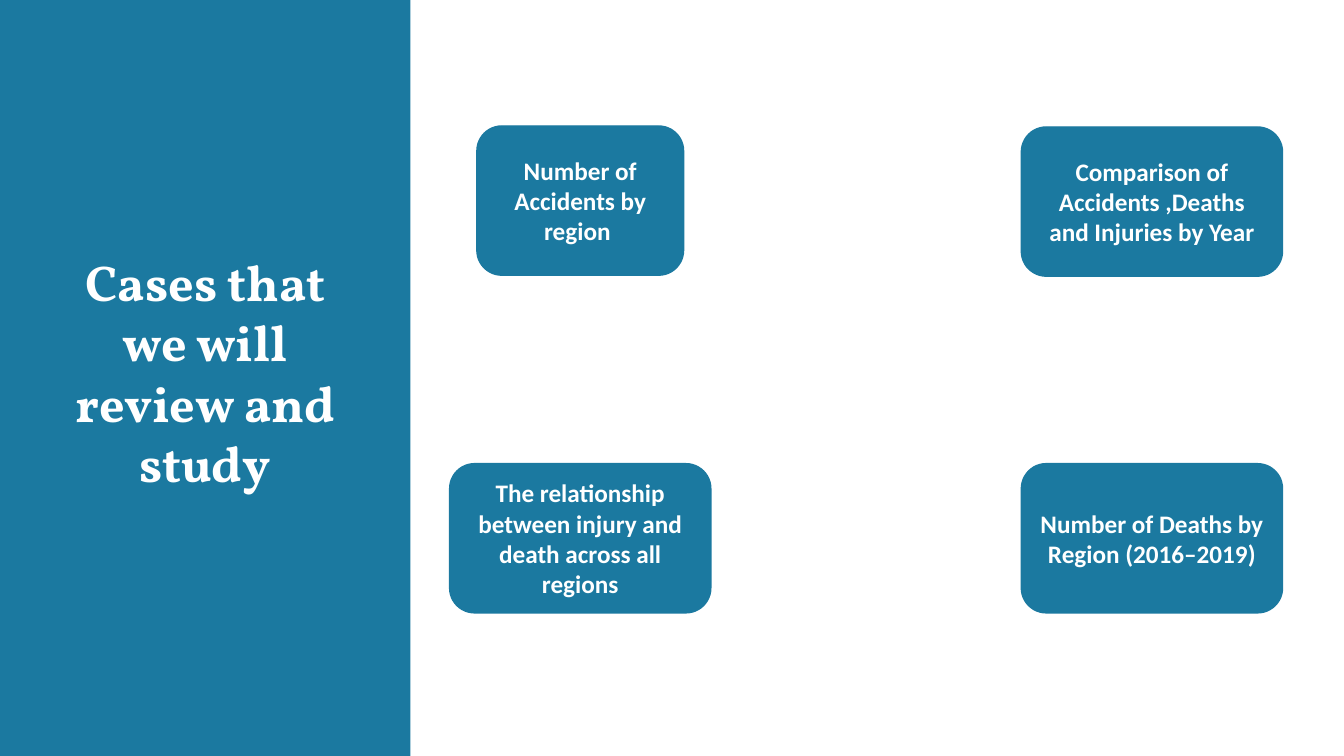
from pptx import Presentation
from pptx.dml.color import RGBColor
from pptx.enum import shapes, text
from pptx.util import Inches, Pt

TEAL = "1B79A0"
WHITE = "FFFFFF"
CARD_HEIGHT = 1.48

# Left, top, width and wording of each case
CASES = [
    (4.73, 1.25, 2.05, "Number of Accidents by region "),
    (10.13, 1.26, 2.59, "Comparison of Accidents ,Deaths and Injuries by Year"),
    (4.46, 4.6, 2.59, "The relationship between injury and death across all regions"),
    (10.13, 4.6, 2.59, "Number of Deaths by Region (2016–2019)"),
]


def color(hex_string):
    return RGBColor.from_string(hex_string)


def write_text(shape, wording, font_name, size, anchor):
    frame = shape.text_frame
    frame.text = wording
    frame.word_wrap = True
    frame.vertical_anchor = anchor
    paragraph = frame.paragraphs[0]
    paragraph.alignment = text.PP_ALIGN.CENTER
    font = paragraph.runs[0].font
    font.name = font_name
    font.size = Pt(size)
    font.bold = True
    font.color.rgb = color(WHITE)


def add_block(slide, kind, left, top, width, height):
    shape = slide.shapes.add_shape(
        kind, Inches(left), Inches(top), Inches(width), Inches(height))
    shape.shadow.inherit = False
    shape.fill.solid()
    shape.fill.fore_color.rgb = color(TEAL)
    return shape


def add_panel(slide):
    panel = add_block(slide, shapes.MSO_SHAPE.RECTANGLE, 0, 0, 4.07, 7.5)
    panel.line.fill.background()
    # Send the panel behind the title
    slide.shapes.title._element.addprevious(panel._element)


def set_title(slide, wording):
    title = slide.shapes.title
    title.left, title.top = Inches(0.45), Inches(2.44)
    title.width, title.height = Inches(3.17), Inches(2.52)
    write_text(title, wording, "Vollkorn", 36, text.MSO_ANCHOR.TOP)
    title.text_frame.auto_size = text.MSO_AUTO_SIZE.SHAPE_TO_FIT_TEXT


def add_case(slide, left, top, width, wording):
    card = add_block(slide, shapes.MSO_SHAPE.ROUNDED_RECTANGLE,
                     left, top, width, CARD_HEIGHT)
    card.line.color.rgb = color(TEAL)
    card.line.width = Pt(1)
    write_text(card, wording, "Calibri", 18, text.MSO_ANCHOR.MIDDLE)


def main():
    presentation = Presentation()
    presentation.slide_width = Inches(13.33)
    presentation.slide_height = Inches(7.5)
    slide = presentation.slides.add_slide(presentation.slide_layouts[5])

    # Title panel on the left
    set_title(slide, "Cases that we will review and study")
    add_panel(slide)

    # Case cards on the right
    for case in CASES:
        add_case(slide, *case)

    presentation.save("out.pptx")


if __name__ == "__main__":
    main()
